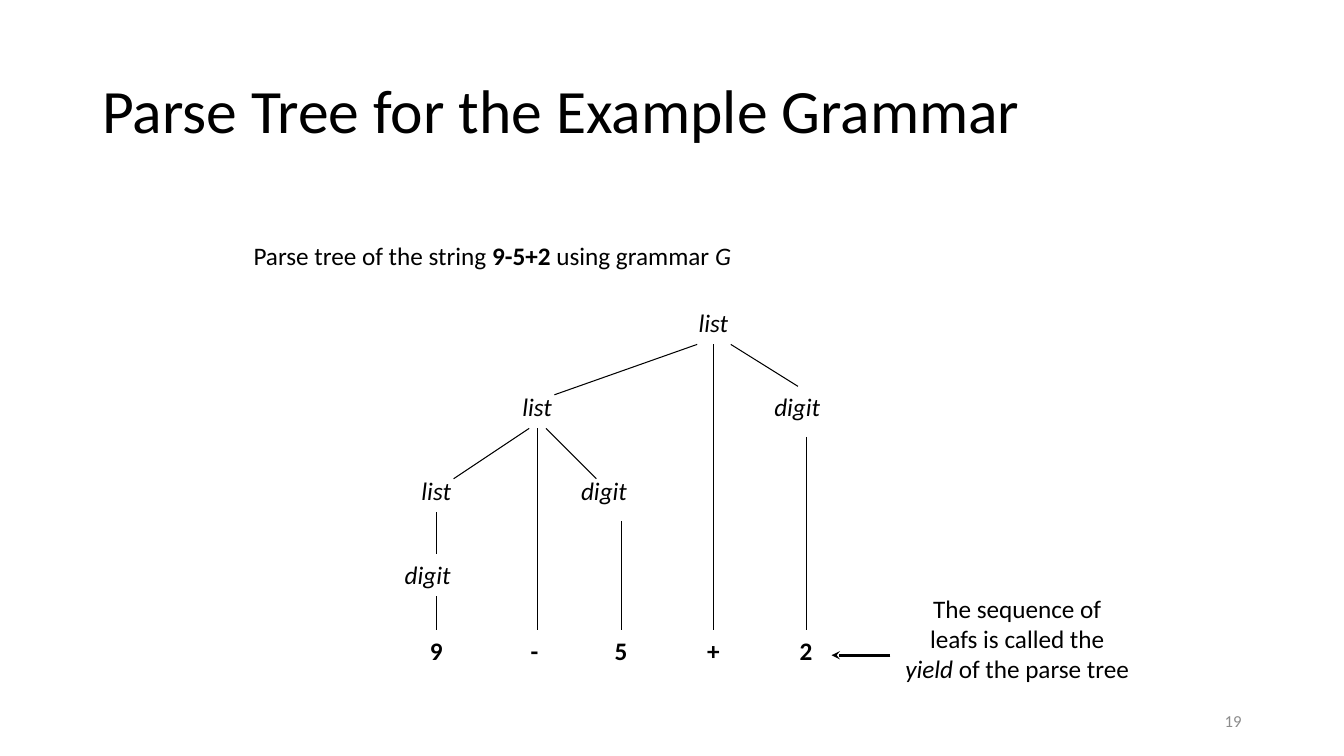
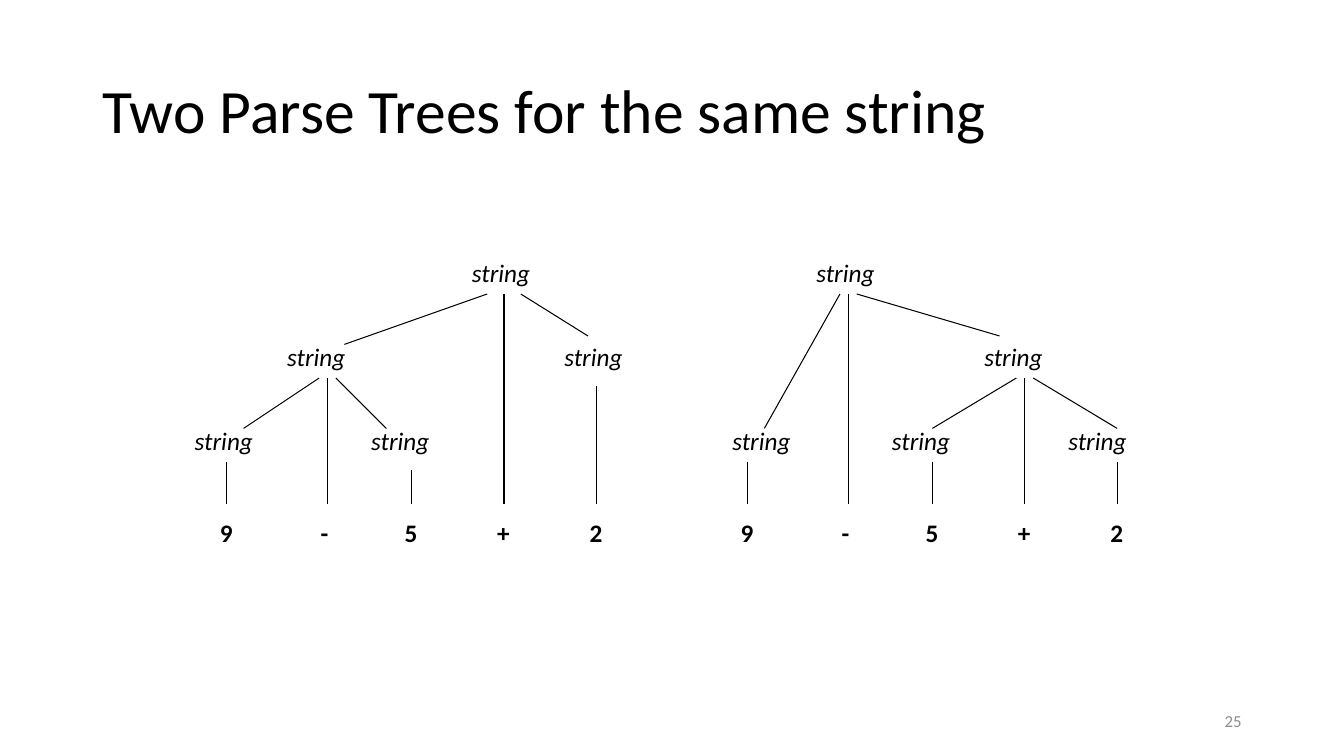
from dataclasses import dataclass

from lxml import etree
from pptx import Presentation
from pptx.dml.color import RGBColor
from pptx.enum.shapes import MSO_CONNECTOR
from pptx.enum.text import MSO_ANCHOR, PP_ALIGN
from pptx.oxml.ns import qn
from pptx.util import Inches, Pt

LEFT, CENTER, RIGHT = PP_ALIGN.LEFT, PP_ALIGN.CENTER, PP_ALIGN.RIGHT
TOP, MIDDLE = MSO_ANCHOR.TOP, MSO_ANCHOR.MIDDLE
STRAIGHT = MSO_CONNECTOR.STRAIGHT
BLANK = 6

# The slide is a grid of 160 columns by 90 rows.
COLS, ROWS = 160, 90
CELL = Inches(1) // 12


@dataclass(frozen=True)
class Theme:
    font: str = "Calibri"
    ink: RGBColor = RGBColor(0, 0, 0)
    muted: RGBColor = RGBColor(0x8C, 0x8C, 0x8C)
    title: float = 44
    body: float = 18
    small: float = 12
    line: float = 0.75
    arrow: float = 2


THEME = Theme()
LABEL_HEIGHT = 4.8
LABEL_WIDTHS = {"list": 6, "digit": 7.92, "string": 9.36, "-": 3.36}
LEAF_WIDTH = 4
LEAVES = {"9": 0, "-": 12, "5": 22, "+": 33, "2": 44}


@dataclass(frozen=True)
class Tree:
    """Places are counted from the left of the first leaf and the top of the root."""
    nodes: tuple      # (text, column, row)
    branches: tuple   # (column, row, column, row)
    stems: tuple      # (column, row), each running down to stem_end
    stem_end: int
    leaf_row: int


LEFT_BRANCHES = ((33, 5, 16, 11), (13, 15, 4, 21), (15, 15, 21, 21), (37, 5, 45, 10))
LEFT_STEMS = ((14, 15), (35, 5), (46, 16), (24, 26))

LIST_TREE = Tree(
    nodes=(("list", 32, 0), ("list", 11, 10), ("digit", 41, 10),
           ("list", -1, 20), ("digit", 18, 20), ("digit", -3, 30)),
    branches=LEFT_BRANCHES + ((2, 25, 2, 30),),
    stems=LEFT_STEMS + ((2, 35),),
    stem_end=39, leaf_row=39)

LEFT_STRING_TREE = Tree(
    nodes=(("string", 30, 0), ("string", 8, 10), ("string", 41, 10),
           ("string", -3, 20), ("string", 18, 20)),
    branches=LEFT_BRANCHES,
    stems=LEFT_STEMS + ((2, 25),),
    stem_end=30, leaf_row=31)

RIGHT_STRING_TREE = Tree(
    nodes=(("string", 9, 0), ("string", 29, 10),
           ("string", -1, 20), ("string", 18, 20), ("string", 39, 20)),
    branches=((32, 10, 15, 5), (13, 5, 4, 21), (34, 15, 24, 21), (36, 15, 46, 21)),
    stems=((14, 5), (35, 15), (2, 25), (24, 25), (46, 25)),
    stem_end=30, leaf_row=31)


def grid(*cells):
    return [round(c * CELL) for c in cells]


def add_text(s, box, runs, size=THEME.body, color=THEME.ink, align=LEFT,
             anchor=TOP, wrap=False, spacing=None):
    """Add one paragraph; runs are (text, style) pairs, style being "", "b" or "i"."""
    tf = s.shapes.add_textbox(*grid(*box)).text_frame
    tf.word_wrap = wrap
    tf.vertical_anchor = anchor
    p = tf.paragraphs[0]
    p.alignment = align
    p.line_spacing = spacing
    p.font.name, p.font.size = THEME.font, Pt(size)
    p.font.color.rgb = color
    for text, style in runs:
        for i, line in enumerate(text.split("\n")):
            if i:
                p.add_line_break()
            if line:
                r = p.add_run()
                r.text = line
                r.font.bold = style == "b"
                r.font.italic = style == "i"


def add_line(s, ends, width=THEME.line, head=None):
    line = s.shapes.add_connector(STRAIGHT, *grid(*ends))
    line.line.color.rgb = THEME.ink
    line.line.width = Pt(width)
    if head:
        ln = line.line._get_or_add_ln()
        etree.SubElement(ln, qn("a:tailEnd"), type=head)
    etree.SubElement(line._element.spPr, qn("a:effectLst"))


def add_tree(s, tree, x, y):
    def label(text, style, col, row):
        width = LABEL_WIDTHS.get(text, LEAF_WIDTH)
        add_text(s, (x + col, y + row, width, LABEL_HEIGHT), [(text, style)])

    for text, col, row in tree.nodes:
        label(text, "i", col, row)
    for text, col in LEAVES.items():
        label(text, "b", col, tree.leaf_row)
    stems = tuple((col, row, col, tree.stem_end) for col, row in tree.stems)
    for x1, y1, x2, y2 in tree.branches + stems:
        add_line(s, (x + x1, y + y1, x + x2, y + y2))


def add_slide(prs, title, number):
    s = prs.slides.add_slide(prs.slide_layouts[BLANK])
    add_text(s, (11, 4.8, 138, 17.4), [(title, "")], THEME.title,
             anchor=MIDDLE, wrap=True, spacing=0.9)
    add_text(s, (113, 83.4, 36, 4.8), [(str(number), "")], THEME.small,
             THEME.muted, RIGHT, MIDDLE, wrap=True)
    return s


def add_example_slide(prs):
    s = add_slide(prs, "Parse Tree for the Example Grammar", 19)
    add_text(s, (29, 28, 59.9, LABEL_HEIGHT),
             [("Parse tree of the string ", ""), ("9-5+2", "b"),
              (" using grammar ", ""), ("G", "i")])
    add_tree(s, LIST_TREE, 50, 36)
    add_text(s, (106, 70, 30.2, 12.1),
             [("The sequence of\nleafs is called the\n", ""), ("yield", "i"),
              (" of the parse tree", "")], align=CENTER)
    add_line(s, (106, 78, 99, 78), THEME.arrow, head="stealth")


def add_two_trees_slide(prs):
    s = add_slide(prs, "Two Parse Trees for the same string", 25)
    add_tree(s, LEFT_STRING_TREE, 25, 30)
    add_tree(s, RIGHT_STRING_TREE, 87, 30)


def main():
    prs = Presentation()
    prs.slide_width, prs.slide_height = grid(COLS, ROWS)
    add_example_slide(prs)
    add_two_trees_slide(prs)
    prs.save("out.pptx")


if __name__ == "__main__":
    main()
